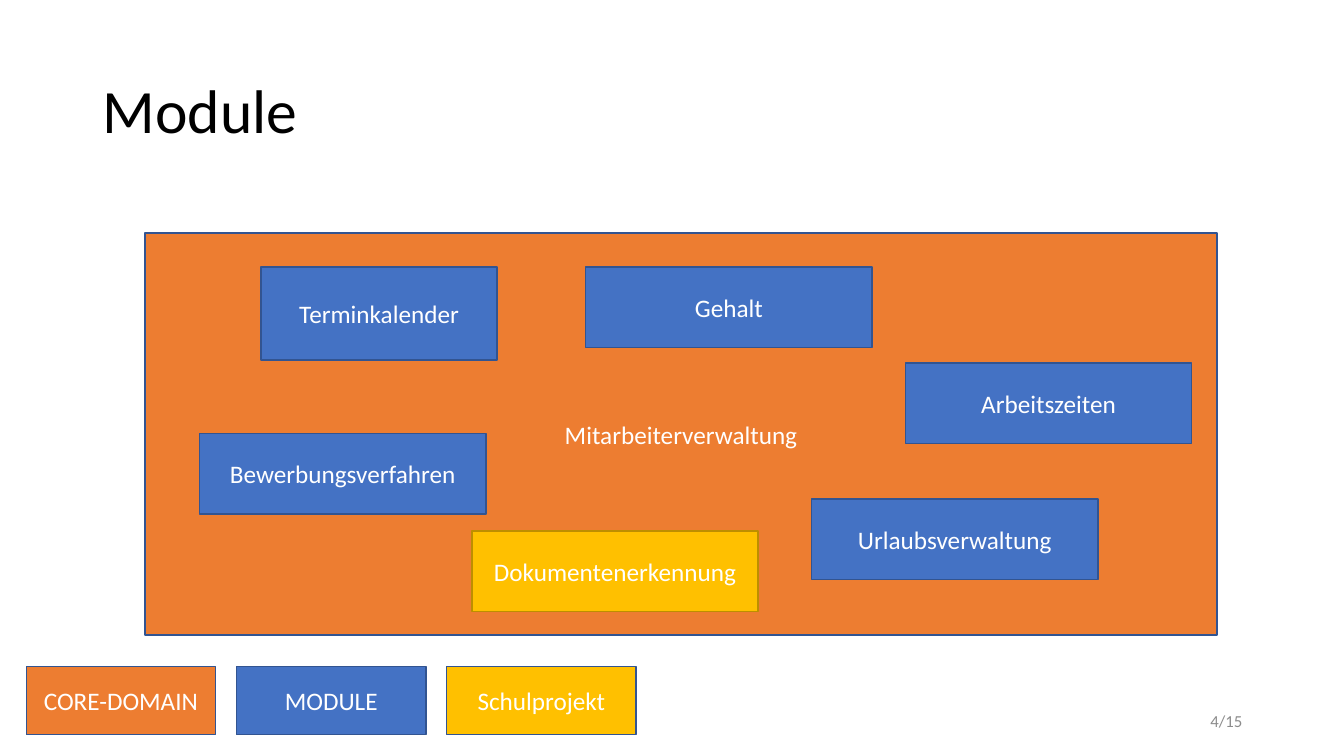
from pptx import Presentation
from pptx.dml.color import RGBColor
from pptx.enum.shapes import MSO_SHAPE
from pptx.enum.text import MSO_ANCHOR, PP_ALIGN
from pptx.util import Inches, Pt

RECTANGLE = MSO_SHAPE.RECTANGLE
MIDDLE = MSO_ANCHOR.MIDDLE
LEFT, CENTER, RIGHT = PP_ALIGN.LEFT, PP_ALIGN.CENTER, PP_ALIGN.RIGHT

FONT = "Calibri"
ORANGE, BLUE, YELLOW = "ED7D31", "4472C4", "FFC000"
BLUE_EDGE, YELLOW_EDGE = "325491", "BD8E00"
WHITE, BLACK, GRAY = "FFFFFF", "000000", "8C8C8C"

MODULE_SIZE = (2.84, 0.8)
MODULES = [
    ("Bewerbungsverfahren", 0.54, 1.99, MODULE_SIZE, BLUE, BLUE_EDGE),
    ("Terminkalender", 1.15, 0.34, (2.34, 0.92), BLUE, BLUE_EDGE),
    ("Dokumentenerkennung", 3.24, 2.96, MODULE_SIZE, YELLOW, YELLOW_EDGE),
    ("Gehalt", 4.37, 0.34, MODULE_SIZE, BLUE, BLUE_EDGE),
    ("Arbeitszeiten", 7.54, 1.29, MODULE_SIZE, BLUE, BLUE_EDGE),
    ("Urlaubsverwaltung", 6.61, 2.64, MODULE_SIZE, BLUE, BLUE_EDGE),
]
LEGEND = [("CORE-DOMAIN", ORANGE), ("MODULE", BLUE), ("Schulprojekt", YELLOW)]


def color(hex_code):
    return RGBColor.from_string(hex_code)


def write(frame, text, size, hex_code, align):
    frame.word_wrap = True
    frame.vertical_anchor = MIDDLE
    frame.text = text
    paragraph = frame.paragraphs[0]
    paragraph.alignment = align
    font = paragraph.runs[0].font
    font.name = FONT
    font.size = Pt(size)
    font.color.rgb = color(hex_code)
    return paragraph


def add_label(slide, box, text, size, hex_code, align):
    label = slide.shapes.add_textbox(*map(Inches, box))
    return write(label.text_frame, text, size, hex_code, align)


def add_block(slide, box, text, fill, edge):
    block = slide.shapes.add_shape(RECTANGLE, *map(Inches, box))
    block.shadow.inherit = False
    block.fill.solid()
    block.fill.fore_color.rgb = color(fill)
    block.line.color.rgb = color(edge)
    block.line.width = Pt(1)
    write(block.text_frame, text, 18, WHITE, CENTER)


def add_title(slide, box):
    title = add_label(slide, box, "Module", 44, BLACK, LEFT)
    title.line_spacing = 0.9


def add_domain(slide, box):
    add_block(slide, box, "Mitarbeiterverwaltung", ORANGE, BLUE_EDGE)
    left, top = box[:2]
    for name, dx, dy, size, fill, edge in MODULES:
        add_block(slide, (left + dx, top + dy, *size), name, fill, edge)


def add_legend(slide, box):
    left, top, width, height = box
    entry_width = 1.88
    pitch = (width - entry_width) / (len(LEGEND) - 1)
    for index, (name, fill) in enumerate(LEGEND):
        entry = (left + index * pitch, top, entry_width, height)
        add_block(slide, entry, name, fill, BLUE_EDGE)


def add_page_number(slide, box):
    add_label(slide, box, "4/15", 12, GRAY, RIGHT)


def main():
    deck = Presentation()
    deck.slide_width = Inches(13.33)
    deck.slide_height = Inches(7.5)
    slide = deck.slides.add_slide(deck.slide_layouts[6])
    add_title(slide, (0.92, 0.4, 11.5, 1.45))
    add_domain(slide, (1.44, 2.31, 10.63, 3.99))
    add_legend(slide, (0.26, 6.61, 6.05, 0.68))
    add_page_number(slide, (9.42, 6.95, 3, 0.4))
    deck.save("out.pptx")


if __name__ == "__main__":
    main()
